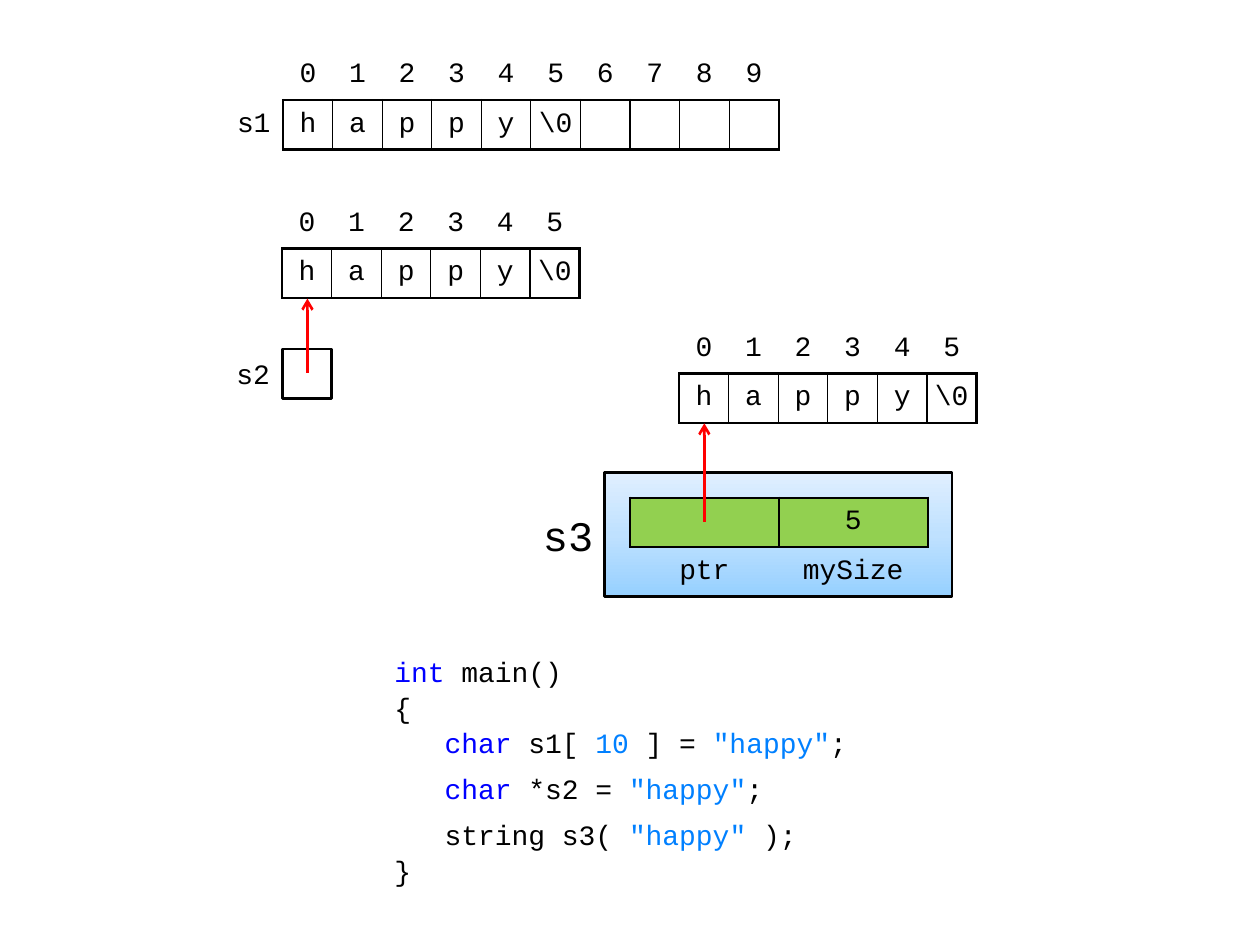
"""Build a slide comparing three ways to store a string in memory."""
from copy import deepcopy
from lxml.etree import SubElement
from pptx import Presentation
from pptx.dml.color import RGBColor
from pptx.enum.dml import MSO_LINE
from pptx.enum.shapes import MSO_CONNECTOR as Conn, MSO_SHAPE as Shape
from pptx.enum.text import MSO_ANCHOR as Anchor, MSO_AUTO_SIZE as Auto, PP_ALIGN as Align
from pptx.oxml.ns import qn
from pptx.util import Inches, Pt

BLACK = RGBColor(0, 0, 0)
WHITE = RGBColor(255, 255, 255)
RED = RGBColor(255, 0, 0)
BLUE = RGBColor(0, 0, 255)
SKY = RGBColor(0, 128, 255)
GREEN = RGBColor(0x92, 0xD0, 0x50)
SHADES = [(0, RGBColor(0x96, 0xD0, 0xFF)), (0.5, RGBColor(0xBF, 0xE1, 0xFF)),
          (1, RGBColor(0xE0, 0xEF, 0xFF))]
FONT = "Courier New"
CELL = 1 / 2.54
THICK, THIN = 1.5, 0.75

WORD = ["h", "a", "p", "p", "y", "\\0"]
STRIPS = {
    "s1": {"left": 1.46, "top": 0.4, "size": 10, "label": "s1"},
    "s2": {"left": 2.24, "top": 1.58, "size": 6, "label": ""},
    "s3": {"left": 5.39, "top": 2.57, "size": 6, "label": ""},
}
FIELDS = [["", "5"], ["ptr", "mySize"]]
CODE = [
    (0, [("int", BLUE), (" main()", BLACK)]),
    (0, [("{", BLACK)]),
    (0, [("   char", BLUE), (" s1[ ", BLACK), ("10", SKY), (" ] = ", BLACK),
         ('"happy"', SKY), (";", BLACK)]),
    (6, [("   char", BLUE), (" *s2 = ", BLACK), ('"happy"', SKY), (";", BLACK)]),
    (6, [("   string s3( ", BLACK), ('"happy"', SKY), (" );", BLACK)]),
    (0, [("}", BLACK)]),
]


def style(font, size=16, color=BLACK):
    for key, value in {"name": FONT, "size": Pt(size), "bold": False}.items():
        setattr(font, key, value)
    font.color.rgb = color


def border(cell, edges):
    props = cell._tc.get_or_add_tcPr()
    for side in "LRTB":
        width = edges.get(side, 0)
        line = SubElement(props, qn(f"a:ln{side}"), w=str(Pt(width)))
        if width:
            fill = SubElement(line, qn("a:solidFill"))
            SubElement(fill, qn("a:srgbClr"), val=str(BLACK))
        else:
            SubElement(line, qn("a:noFill"))


def add_grid(slide, left, top, widths, rows, edges, fill=None, label=False):
    frame = slide.shapes.add_table(len(rows), len(widths), Inches(left), Inches(top),
                                   Inches(sum(widths)), Inches(CELL * len(rows)))
    table = frame.table
    table.first_row = table.horz_banding = False
    for col, width in zip(table.columns, widths):
        col.width = Inches(width)
    for r, row in enumerate(rows):
        table.rows[r].height = Inches(CELL)
        for c, text in enumerate(row):
            cell = table.cell(r, c)
            tag = label and c == 0
            side = Inches(0.1 if tag else 0.04)
            form = {"margin_left": side, "margin_right": side, "margin_top": 0,
                    "margin_bottom": 0, "vertical_anchor": Anchor.MIDDLE, "text": text}
            for key, value in form.items():
                setattr(cell, key, value)
            para = cell.text_frame.paragraphs[0]
            para.alignment = Align.RIGHT if tag else Align.CENTER
            style(para.font)
            for run in para.runs:
                style(run.font)
            border(cell, edges(r, c))
            if fill and r == 0:
                cell.fill.solid()
                cell.fill.fore_color.rgb = fill
            else:
                cell.fill.background()


def add_strip(slide, left, top, size, label):
    first = 1 if label else 0
    last = first + size - 1
    lead = [label] if label else []
    rows = [[""] * first + [str(i) for i in range(size)],
            lead + WORD + [""] * (size - len(WORD))]

    def edges(r, c):
        if c < first:
            return {"R": THICK} if r else {}
        if r == 0:
            return {"B": THICK}
        return {"T": THICK, "B": THICK, "L": THICK if c == first else THIN,
                "R": THICK if c == last else THIN}

    widths = [2 * CELL] * first + [CELL] * size
    add_grid(slide, left, top, widths, rows, edges, label=bool(label))


def add_box(slide, left, top, width, height, line, text="", size=16):
    box = slide.shapes.add_shape(Shape.RECTANGLE, Inches(left), Inches(top),
                                 Inches(width), Inches(height))
    box.shadow.inherit = False
    box.fill.solid()
    box.fill.fore_color.rgb = WHITE
    box.line.color.rgb = line
    box.line.width = Pt(THICK)
    if text:
        frame = box.text_frame
        frame.vertical_anchor = Anchor.MIDDLE
        frame.text = text
        frame.paragraphs[0].alignment = Align.RIGHT
        style(frame.paragraphs[0].runs[0].font, size)
    return box


def shade(box):
    box.fill.gradient()
    box.fill.gradient_angle = 90
    stops = box.fill.gradient_stops
    last = stops[1]._gs
    last.addprevious(deepcopy(last))
    for stop, (place, color) in zip(box.fill.gradient_stops, SHADES):
        stop.position = place
        stop.color.rgb = color


def add_arrow(slide, x, start, end):
    arrow = slide.shapes.add_connector(Conn.STRAIGHT, Inches(x), Inches(start),
                                       Inches(x), Inches(end))
    arrow.line.color.rgb = RED
    arrow.line.width = Pt(THICK)
    arrow.line.dash_style = MSO_LINE.SOLID
    SubElement(arrow.line._get_or_add_ln(), qn("a:tailEnd"), type="arrow")
    SubElement(arrow._element.spPr, qn("a:effectLst"))


def add_code(body):
    form = {"left": 3.03, "top": 5.13, "width": 3.94, "height": 1.97}
    for key, value in form.items():
        setattr(body, key, Inches(value))
    frame = body.text_frame
    frame.auto_size = Auto.NONE
    frame.word_wrap = True
    frame.vertical_anchor = Anchor.TOP
    for i, (gap, parts) in enumerate(CODE):
        para = frame.add_paragraph() if i else frame.paragraphs[0]
        props = para._p.get_or_add_pPr()
        props.set("marL", "0")
        props.set("indent", "0")
        para.space_before = Pt(gap)
        para.line_spacing = 1.06
        SubElement(props, qn("a:buNone"))
        for text, color in parts:
            run = para.add_run()
            run.text = text
            style(run.font, color=color)


def main():
    deck = Presentation()
    deck.slide_width, deck.slide_height = Inches(10), Inches(7.5)
    slide = deck.slides.add_slide(deck.slide_layouts[1])
    title = slide.shapes.title._element
    title.getparent().remove(title)
    add_code(slide.placeholders[1])

    add_strip(slide, **STRIPS["s1"])
    add_box(slide, 4.02, 3.95, 2 * CELL, 1.5 * CELL, WHITE, "s3", 24)
    shade(add_box(slide, 4.8, 3.75, 7 * CELL, 2.5 * CELL, BLACK))
    add_strip(slide, **STRIPS["s3"])
    add_grid(slide, 5, 3.95, [3 * CELL] * 2, FIELDS,
             lambda r, c: {"T": THICK} if r else dict.fromkeys("LRTB", THICK), GREEN)
    add_arrow(slide, 5.59, 4.14, 3.36)

    add_strip(slide, **STRIPS["s2"])
    add_box(slide, 1.65, 2.77, 1.5 * CELL, CELL, WHITE, "s2")
    add_box(slide, 2.24, 2.77, CELL, CELL, BLACK)
    add_arrow(slide, 2.44, 2.96, 2.37)
    deck.save("out.pptx")


if __name__ == "__main__":
    main()
